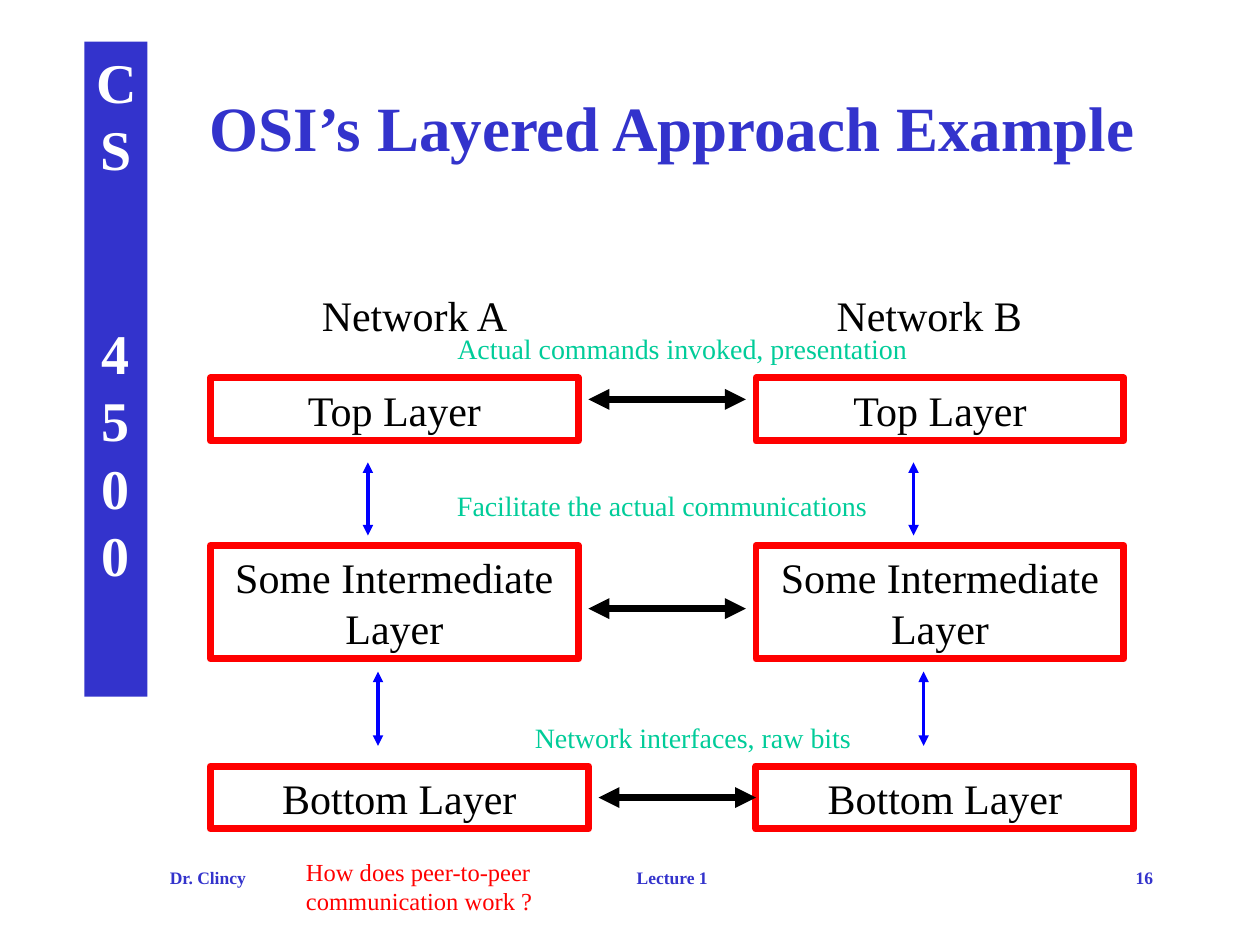
from pptx import Presentation
from pptx import util as u
from pptx.dml.color import RGBColor
from pptx.enum import shapes, text
from pptx.oxml.ns import qn
from lxml import etree

LOOK = {
    "font": "Times New Roman",
    "brand": "3333CC", "ink": "000000", "note": "00CC99",
    "frame": "FF0000", "link": "0000FF", "light": "FFFFFF",
    "title": 36, "side": 32, "body": 24, "label": 16, "ask": 14, "foot": 10,
    "thick": 4, "thin": 2,
}
TITLE = "OSI’s Layered Approach Example"
COURSE = ["CS", "4500"]
LAYERS = [
    ("Top Layer", 3, 2.92, 0.5),
    ("Some Intermediate Layer", 4.33, 2.92, 0.9),
    ("Bottom Layer", 6.08, 3, 0.5),
]
STACKS = [
    ("Network A", 1.67, 2.92, (1.58, 2.25, 3.42, 0.5)),
    ("Network B", 6, 7.25, (5.75, 2.25, 3.25, 0.5)),
]
STEPS = [(0, 3.67, 4.25), (0.08, 5.33, 5.92)]
PEERS = [(4.67, 3.17), (4.67, 4.83), (4.75, 6.33)]
NOTES = [
    ("Network interfaces, raw bits", (3.5, 5.67, 4, 0.37)),
    ("Facilitate the actual communications", (2.92, 3.83, 4.67, 0.37)),
    ("Actual commands invoked, presentation", (3.08, 2.58, 4.67, 0.37)),
]
FOOT = [
    ("Dr. Clincy", "LEFT", 1.25, 2.08),
    ("Lecture 1", "CENTER", 3.75, 3.17),
    ("16", "RIGHT", 7.17, 2.08),
]
ASK = "How does peer-to-peer communication work ?"


def rgb(name):
    return RGBColor.from_string(LOOK[name])


def inches(box):
    return [u.Inches(n) for n in box]


def write(shape, lines, size="body", color="ink", bold=False,
          align="CENTER", anchor="TOP", gap=0):
    frame = shape.text_frame
    frame.word_wrap = True
    frame.auto_size = text.MSO_AUTO_SIZE.NONE
    frame.vertical_anchor = getattr(text.MSO_ANCHOR, anchor)
    lines = [lines] if isinstance(lines, str) else lines
    for i, line in enumerate(lines):
        para = frame.add_paragraph() if i else frame.paragraphs[0]
        para.text = line
        para.alignment = getattr(text.PP_ALIGN, align)
        para.space_before = u.Pt(gap if i else 0)
        font = para.font
        font.name, font.size, font.bold = LOOK["font"], u.Pt(LOOK[size]), bold
        font.color.rgb = rgb(color)


def label(slide, line, box, **style):
    write(slide.shapes.add_textbox(*inches(box)), line, **style)


def block(parent, box, fill=None, edge=None):
    shape = parent.add_shape(shapes.MSO_SHAPE.RECTANGLE, *inches(box))
    shape.shadow.inherit = False
    if fill:
        shape.fill.solid()
        shape.fill.fore_color.rgb = rgb(fill)
    else:
        shape.fill.background()
    if edge:
        shape.line.color.rgb = rgb(edge)
        shape.line.width = u.Pt(LOOK["thick"])
    else:
        shape.line.fill.background()
    return shape


def arrow(parent, ends, color, width):
    line = parent.add_connector(shapes.MSO_CONNECTOR.STRAIGHT, *inches(ends))
    line.line.color.rgb = rgb(color)
    line.line.width = u.Pt(LOOK[width])
    stroke = line.line._get_or_add_ln()
    for tag in ("a:headEnd", "a:tailEnd"):
        etree.SubElement(stroke, qn(tag), type="triangle")
    etree.SubElement(line._element.spPr, qn("a:effectLst"))


def main():
    deck = Presentation()
    deck.slide_width, deck.slide_height = inches((10, 7.5))
    slide = deck.slides.add_slide(deck.slide_layouts[5])

    side = block(slide.shapes, (0.67, 0.33, 0.5, 5.2), fill="brand")
    write(side, COURSE, size="side", color="light", bold=True, gap=78)

    head = slide.shapes.title
    head.left, head.top, head.width, head.height = inches((0.92, 0.75, 8.83, 0.5))
    write(head, TITLE, size="title", color="brand", bold=True, anchor="MIDDLE")

    for line, align, left, width in FOOT:
        label(slide, line, (left, 6.83, width, 0.5), size="foot",
              color="brand", bold=True, align=align)

    for name, left, mid, box in STACKS:
        group = slide.shapes.add_group_shape().shapes
        for layer, top, width, height in LAYERS:
            write(block(group, (left, top, width, height), edge="frame"), layer)
        for shift, top, base in STEPS:
            arrow(group, (mid + shift, top, mid + shift, base), "link", "thin")
        label(slide, name, box)

    for left, top in PEERS:
        arrow(slide.shapes, (left, top, left + 1.25, top), "ink", "thick")
    for line, box in NOTES:
        label(slide, line, box, size="label", color="note")
    label(slide, ASK, (2.33, 6.75, 2.17, 0.57), size="ask",
          color="frame", align="LEFT")

    deck.save("out.pptx")


if __name__ == "__main__":
    main()
